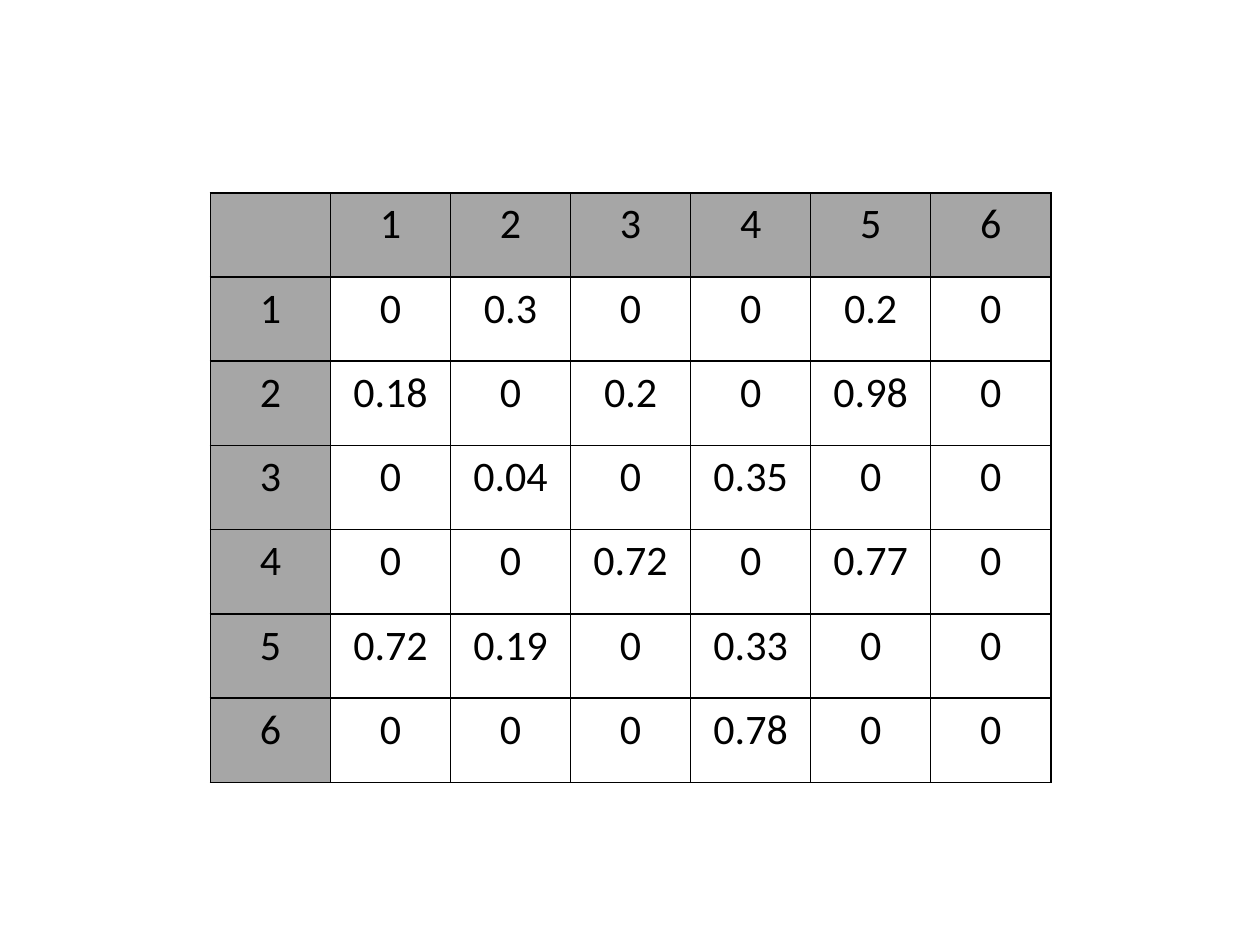
from lxml import etree
from pptx import Presentation
from pptx.dml.color import RGBColor
from pptx.enum import text
from pptx.oxml import ns
from pptx.util import Inches, Pt

WEIGHTS = [
    ["0", "0.3", "0", "0", "0.2", "0"],
    ["0.18", "0", "0.2", "0", "0.98", "0"],
    ["0", "0.04", "0", "0.35", "0", "0"],
    ["0", "0", "0.72", "0", "0.77", "0"],
    ["0.72", "0.19", "0", "0.33", "0", "0"],
    ["0", "0", "0", "0.78", "0", "0"],
]
BLACK, HEADER_GRAY = "000000", "A6A6A6"
FONT = {"name": "Calibri", "size": Pt(24), "bold": False}


def color(hex_value):
    """Return the colour for a hex string."""
    return RGBColor.from_string(hex_value)


def add_borders(cell, hex_value, width):
    """Draw a solid line on all four sides of a cell."""
    properties = cell._tc.get_or_add_tcPr()
    for side in ("a:lnL", "a:lnR", "a:lnT", "a:lnB"):
        line = etree.SubElement(properties, ns.qn(side), w=str(Pt(width)))
        fill = etree.SubElement(line, ns.qn("a:solidFill"))
        etree.SubElement(fill, ns.qn("a:srgbClr"), val=hex_value)


def format_cell(cell, value, is_header):
    """Write one centred value with its border and fill."""
    add_borders(cell, BLACK, 1)
    if is_header:
        cell.fill.solid()
        cell.fill.fore_color.rgb = color(HEADER_GRAY)
    else:
        cell.fill.background()
    paragraph = cell.text_frame.paragraphs[0]
    paragraph.alignment = text.PP_ALIGN.CENTER
    for name, setting in FONT.items():
        setattr(paragraph.font, name, setting)
    if value:
        run = paragraph.add_run()
        run.text = value
        for name, setting in FONT.items():
            setattr(run.font, name, setting)
        run.font.color.rgb = color(BLACK)


def add_matrix(slide, left, top, width, height, weights):
    """Place a matrix with numbered rows and columns in the given box."""
    numbers = [str(number) for number in range(1, len(weights) + 1)]
    rows = [["", *numbers]]
    rows += [[number, *values] for number, values in zip(numbers, weights)]
    size = len(rows)
    table = slide.shapes.add_table(
        size, size, Inches(left), Inches(top), Inches(width), Inches(height)
    ).table
    table.first_row = table.horz_banding = False
    for row_index, values in enumerate(rows):
        for column_index, value in enumerate(values):
            is_header = row_index == 0 or column_index == 0
            format_cell(table.cell(row_index, column_index), value, is_header)


def main():
    """Build the slide and save it."""
    presentation = Presentation()
    presentation.slide_width = Inches(10)
    presentation.slide_height = Inches(7.5)
    slide = presentation.slides.add_slide(presentation.slide_layouts[6])
    add_matrix(slide, 1.67, 1.53, 6.67, 4.68, WEIGHTS)
    presentation.save("out.pptx")


main()
